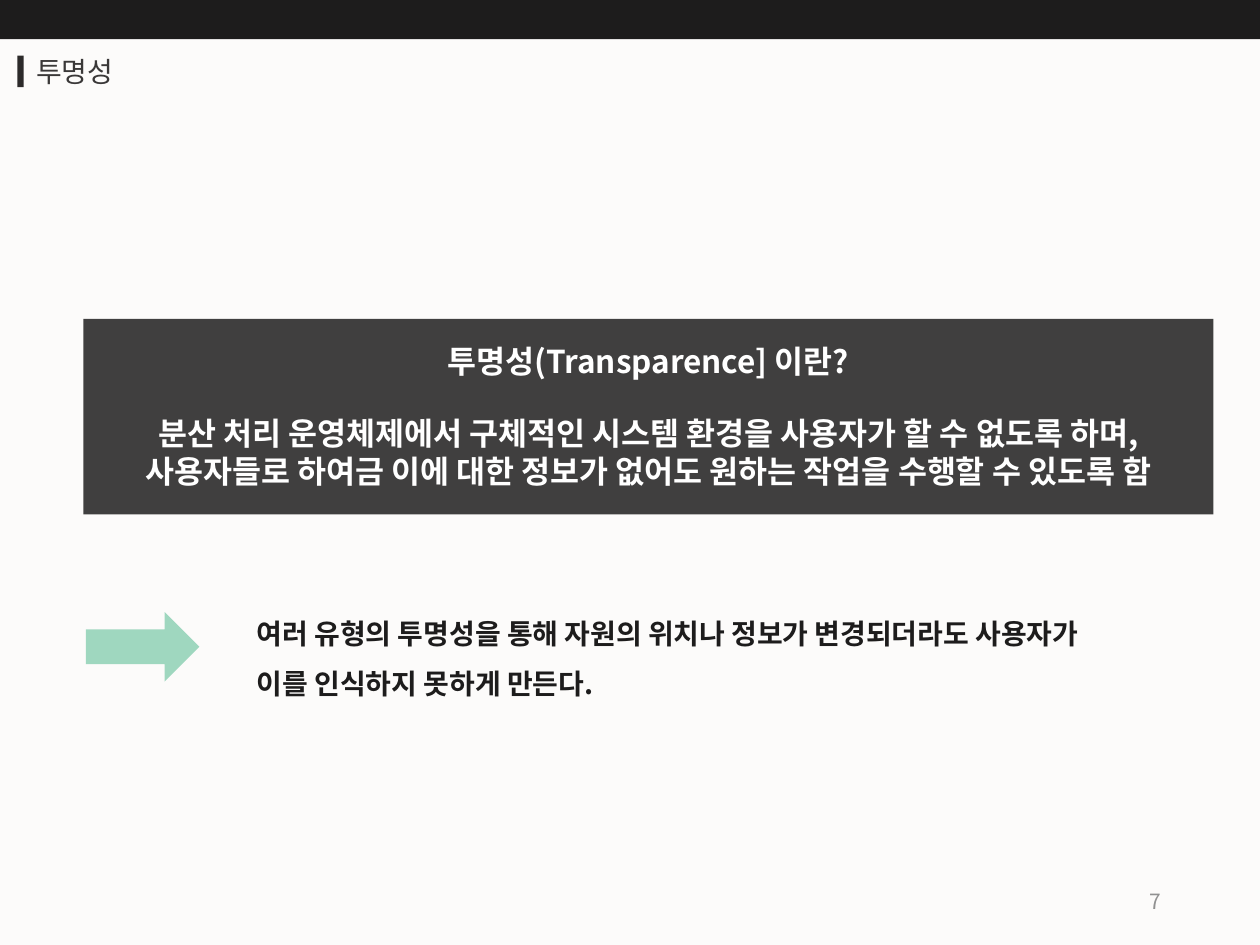
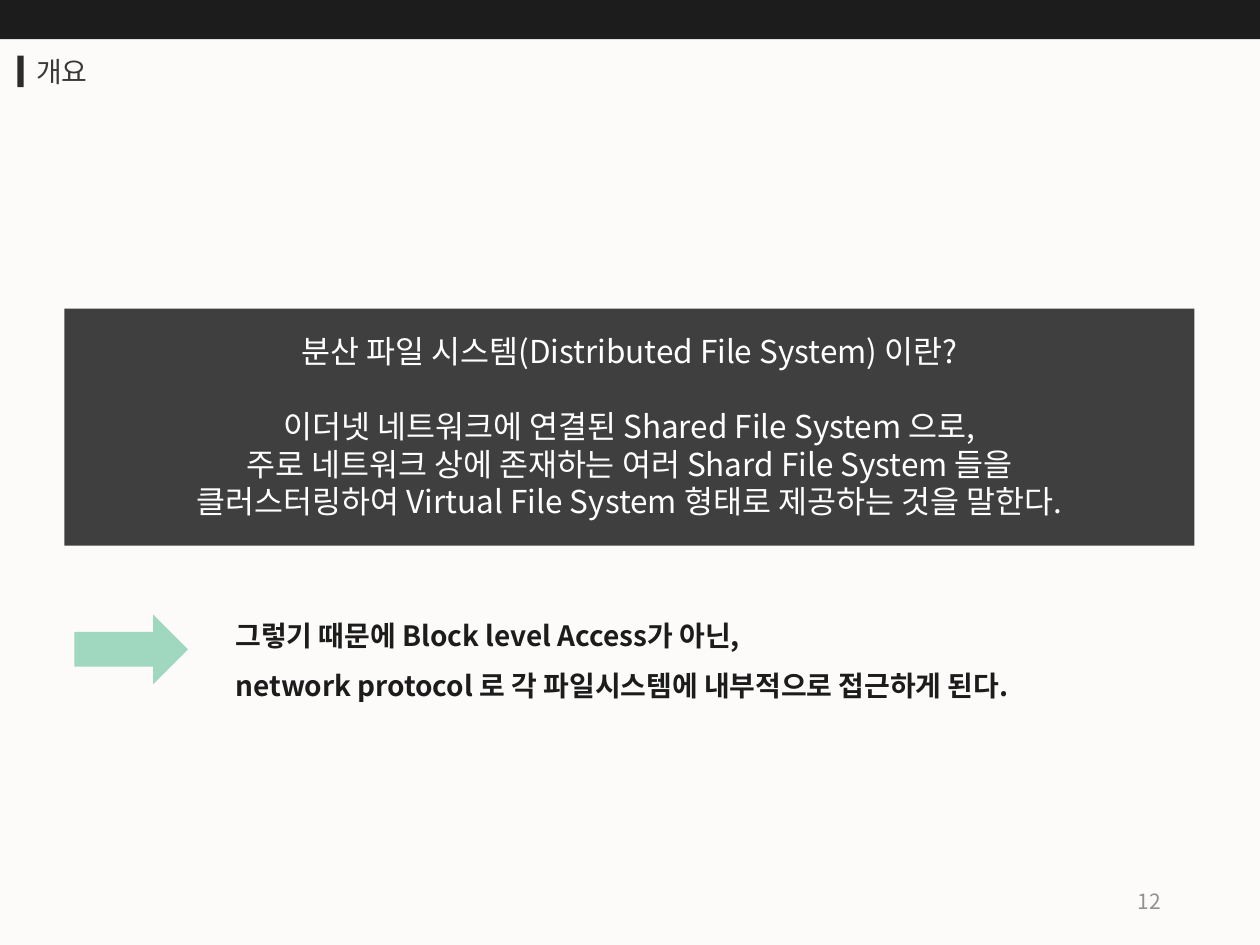
import pptx
import pptx.util
import pptx.dml.color
import pptx.enum.shapes
import pptx.enum.text
import pptx.oxml.ns
import lxml.etree

Cm = pptx.util.Cm
Pt = pptx.util.Pt
RGBColor = pptx.dml.color.RGBColor
SHAPE = pptx.enum.shapes.MSO_SHAPE
ALIGN = pptx.enum.text.PP_ALIGN
ANCHOR = pptx.enum.text.MSO_ANCHOR
qn = pptx.oxml.ns.qn

PAPER = RGBColor(0xFC, 0xFB, 0xFA)
INK = RGBColor(0x1D, 0x1C, 0x1C)
MARKER = RGBColor(0x2C, 0x2A, 0x2A)
TITLE = RGBColor(0x3A, 0x38, 0x38)
MINT = RGBColor(0x9F, 0xD7, 0xBF)
GREY = RGBColor(0x91, 0x91, 0x91)
WHITE = RGBColor(0xFF, 0xFF, 0xFF)

FONT = "Noto Sans CJK KR"
LINE_HEIGHT = 1.19  # line pitch as a multiple of the text size
PAGE_WIDTH, PAGE_HEIGHT = 25.4, 19.05


def add_block(page, box, color, kind=SHAPE.RECTANGLE, opacity=None):
    """Add a flat, borderless shape; box is left, top, width, height in cm."""
    shape = page.shapes.add_shape(kind, *map(Cm, box))
    shape.shadow.inherit = False
    shape.fill.solid()
    shape.fill.fore_color.rgb = color
    shape.line.fill.background()
    if opacity is not None:
        tint = shape.fill._xPr.find(".//" + qn("a:srgbClr"))
        lxml.etree.SubElement(tint, qn("a:alpha")).set("val", str(opacity * 1000))
    return shape


def write_text(shape, lines, size, color, bold=False, align=ALIGN.LEFT,
               anchor=ANCHOR.TOP, spacing=1, heading_gap=0, top_inset=0.13):
    """Write one paragraph per line; heading_gap (pt) follows the first."""
    frame = shape.text_frame
    frame.word_wrap = True
    frame.vertical_anchor = anchor
    frame.margin_top = Cm(top_inset)
    for index, line in enumerate(lines):
        para = frame.add_paragraph() if index else frame.paragraphs[0]
        para.alignment = align
        para.line_spacing = Pt(size * LINE_HEIGHT * spacing)
        para.space_after = Pt(0 if index else heading_gap)
        span = para.add_run()
        span.text = line
        font = span.font
        font.name, font.size, font.bold = FONT, Pt(size), bold
        font.color.rgb = color
        east_asian = lxml.etree.SubElement(font._element, qn("a:ea"))
        east_asian.set("typeface", FONT)


def add_text(page, box, lines, **style):
    write_text(page.shapes.add_textbox(*map(Cm, box)), lines, **style)


def add_page(deck, title, number):
    """Start a page with the top band, title and page number."""
    page = deck.slides.add_slide(deck.slide_layouts[6])
    page.background.fill.solid()
    page.background.fill.fore_color.rgb = PAPER
    add_block(page, (0, 0, PAGE_WIDTH, 0.79), INK)
    # Title with its marker
    add_text(page, (0.48, 0.97, 4.8, 0.94), [title], size=16, color=TITLE)
    add_block(page, (0.35, 1.12, 0.13, 0.64), MARKER)
    # Page number
    add_text(page, (17.93, 17.65, 5.72, 1.02), [str(number)], size=12,
             color=GREY, align=ALIGN.RIGHT, anchor=ANCHOR.MIDDLE)
    return page


def add_definition(page, box, lines, heading_gap, bold=False):
    """Dark panel: a question, then its answer."""
    panel = add_block(page, box, INK, opacity=84)
    write_text(panel, lines, size=18, color=WHITE, bold=bold, align=ALIGN.CENTER,
               heading_gap=heading_gap, top_inset=0.48)


def add_conclusion(page, box, lines, indent, align=ALIGN.LEFT):
    """Arrow at the left of the box, bold text after the indent."""
    left, top, width, height = box
    add_block(page, (left, top + 0.38, 2.29, 1.4), MINT, SHAPE.RIGHT_ARROW)
    add_text(page, (left + indent, top, width - indent, height), lines, size=16,
             color=INK, bold=True, align=align, spacing=1.5)


def build_transparency(deck):
    page = add_page(deck, "투명성", 7)
    add_definition(page, (1.68, 6.43, 22.78, 3.94), [
        "투명성(Transparence] 이란?",
        "분산 처리 운영체제에서 구체적인 시스템 환경을 사용자가 할 수 없도록 하며, "
        "사용자들로 하여금 이에 대한 정보가 없어도 원하는 작업을 수행할 수 있도록 함",
    ], heading_gap=19.5, bold=True)
    add_conclusion(page, (1.73, 11.96, 22.73, 2.16), [
        "여러 유형의 투명성을 통해 자원의 위치나 정보가 변경되더라도 사용자가",
        "이를 인식하지 못하게 만든다.",
    ], indent=3.2, align=ALIGN.JUSTIFY)


def build_overview(deck):
    page = add_page(deck, "개요", 12)
    add_definition(page, (1.3, 6.22, 22.78, 4.78), [
        "분산 파일 시스템(Distributed File System) 이란?",
        "이더넷 네트워크에 연결된 Shared File System 으로,",
        "주로 네트워크 상에 존재하는 여러 Shard File System 들을",
        "클러스터링하여 Virtual File System 형태로 제공하는 것을 말한다.",
    ], heading_gap=21.5)
    add_conclusion(page, (1.5, 12.01, 21.47, 2.31), [
        "그렇기 때문에 Block level Access가 아닌,",
        "network protocol 로 각 파일시스템에 내부적으로 접근하게 된다.",
    ], indent=3)


deck = pptx.Presentation()
deck.slide_width, deck.slide_height = Cm(PAGE_WIDTH), Cm(PAGE_HEIGHT)
build_transparency(deck)
build_overview(deck)
deck.save("out.pptx")
